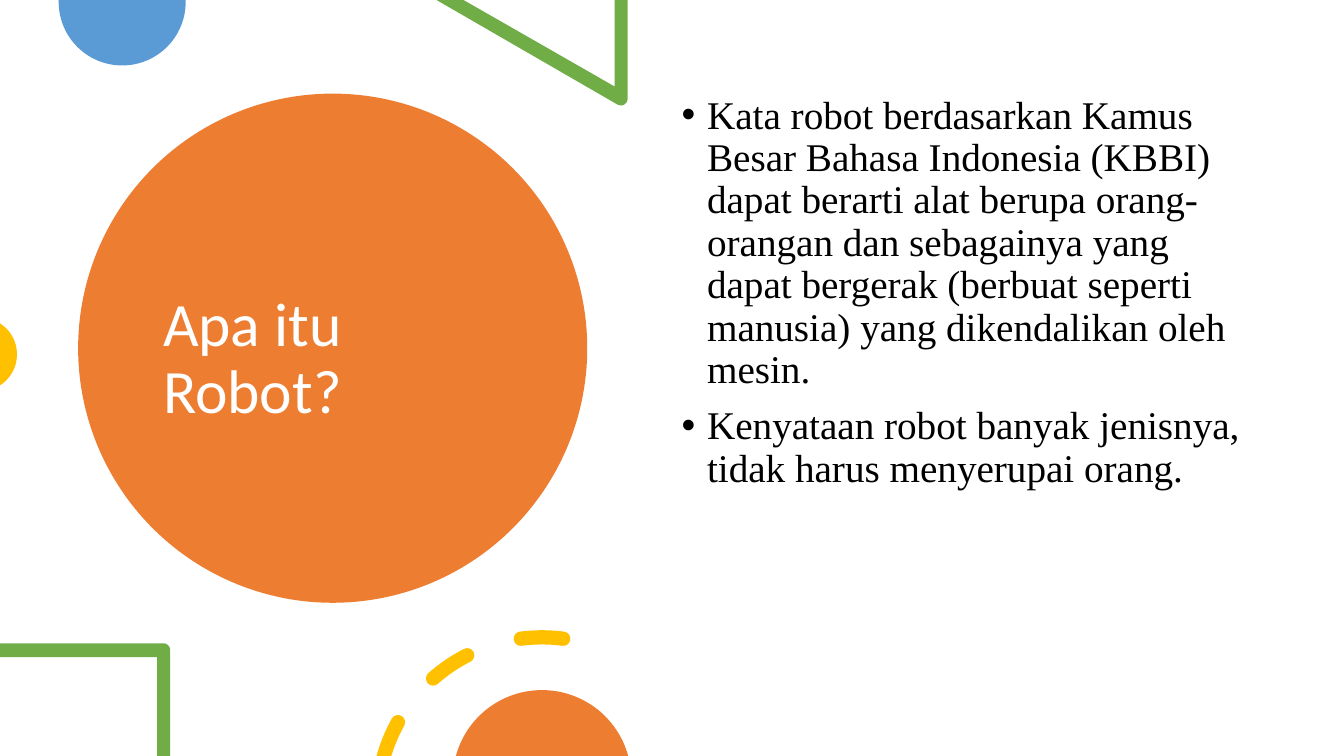
from math import ceil, cos, radians, sin, tan

from lxml import etree
from pptx import Presentation
from pptx.dml.color import RGBColor
from pptx.enum import shapes, text
from pptx.oxml import ns
from pptx.util import Cm, Pt

HUES = {"orange": "ED7D31", "blue": "5B9BD5", "green": "70AD47",
        "gold": "FFC000", "white": "FFFFFF", "black": "000000"}
FONTS = {"title": "Calibri", "body": "Times New Roman"}


def arc(x, y, r, start, end):
    """Bezier curves in cm along a circle, angles in degrees clockwise from the right."""
    count = ceil(abs(end - start) / 90)
    step = radians((end - start) / count)
    pull = 4 / 3 * tan(step / 4)
    curves = []
    for i in range(count):
        a = radians(start) + i * step
        b = a + step
        curves.append([(x + r * (cos(a) - pull * sin(a)), y + r * (sin(a) + pull * cos(a))),
                       (x + r * (cos(b) + pull * sin(b)), y + r * (sin(b) - pull * cos(b))),
                       (x + r * cos(b), y + r * sin(b))])
    return curves


def draw(hue, *loops):
    """Fill one freeform; each loop is a start point, then [point] lines and 3-point curves, in cm."""
    pen = None
    for start, *parts in loops:
        spot = [Cm(v) for v in start]
        if pen:
            pen.move_to(*spot)
        else:
            pen = slide.shapes.build_freeform(*spot, scale=1.0)
        pen.add_line_segments([(Cm(x), Cm(y)) for part in parts for x, y in part], close=True)
    shape = pen.convert_to_shape()
    lines = iter(list(shape._element.iter(ns.qn("a:lnTo"))))
    for part in (part for loop in loops for part in loop[1:]):
        group = [next(lines) for _ in part]
        if len(group) == 3:
            curve = etree.Element(ns.qn("a:cubicBezTo"))
            group[0].addprevious(curve)
            for line in group:
                curve.append(line[0])
                line.getparent().remove(line)
    shape.shadow.inherit = False
    shape.fill.solid()
    shape.fill.fore_color.rgb = RGBColor.from_string(HUES[hue])
    shape.line.fill.background()


deck = Presentation()
deck.slide_width, deck.slide_height = Cm(33.87), Cm(19.05)
slide = deck.slides.add_slide(deck.slide_layouts[6])

# Large disc with the title
disc = slide.shapes.add_shape(shapes.MSO_SHAPE.OVAL, Cm(1.97), Cm(2.36), Cm(12.83), Cm(12.83))
disc.shadow.inherit = False
disc.fill.solid()
disc.fill.fore_color.rgb = RGBColor.from_string(HUES["orange"])
disc.line.fill.background()

title = slide.shapes.add_textbox(Cm(3.86), Cm(3.43), Cm(8.99), Cm(11.28)).text_frame
title.word_wrap = True
title.vertical_anchor = text.MSO_ANCHOR.MIDDLE
title.text = "Apa itu Robot?"
head = title.paragraphs[0]
head.line_spacing = 0.9
for run in head.runs:
    run.font.size = Pt(44)
    run.font.name = FONTS["title"]
    run.font.color.rgb = RGBColor.from_string(HUES["white"])

# Decorations cut off by the top and left edges
draw("blue", [(4.68, 0), [(1.48, 0)], [(1.48, 0.05)], *arc(3.08, 0.05, 1.6, 180, 0)])
draw("green", [(15.82, 0), [(15.49, 0)], [(15.49, 2.18)], [(11.68, 0)], [(11, 0)],
               [(15.57, 2.64)], *arc(15.65, 2.49, 0.17, 120, 0)])
draw("gold", [(0, 8.15), *arc(-0.5, 8.93, 0.93, -57.5, 57.5)])

# Bulleted definition
body = slide.shapes.add_textbox(Cm(16.93), Cm(2.28), Cm(14.6), Cm(13.59)).text_frame
body.word_wrap = True
points = [
    "Kata robot berdasarkan Kamus Besar Bahasa Indonesia (KBBI) dapat berarti "
    "alat berupa orang-orangan dan sebagainya yang dapat bergerak (berbuat "
    "seperti manusia) yang dikendalikan oleh mesin.",
    "Kenyataan robot banyak jenisnya, tidak harus menyerupai orang.",
]
body.text = "\n".join(points)
for i, para in enumerate(body.paragraphs):
    props = para._p.get_or_add_pPr()
    props.set("marL", str(Cm(0.64)))
    props.set("indent", str(-Cm(0.64)))
    tint = etree.SubElement(props, ns.qn("a:buClr"))
    etree.SubElement(tint, ns.qn("a:srgbClr"), val=HUES["black"])
    etree.SubElement(props, ns.qn("a:buFont"), typeface="Arial")
    etree.SubElement(props, ns.qn("a:buChar"), char="•")
    para.line_spacing = 0.9
    if i:
        para.space_before = Pt(10)
    for run in para.runs:
        run.font.size = Pt(28)
        run.font.name = FONTS["body"]
        run.font.color.rgb = RGBColor.from_string(HUES["black"])

# Decorations cut off by the bottom edge
draw("green", [(0, 16.21), [(0, 16.56)], [(3.96, 16.56)], [(3.96, 19.05)], [(4.29, 19.05)],
               [(4.29, 16.38)], *arc(4.12, 16.38, 0.17, 0, -90)])

# Dashed ring: round caps, the first dash ends flat on the slide edge
mid, low, size, half = 13.66, 20.21, 4.15, 0.18
dashes = []
for outer, inner, end in [(195.6, 197, 209), (228.6, 228.6, 243), (262.6, 262.6, 277.4)]:
    a, b = radians(outer), radians(end)
    dash = [(mid + (size + half) * cos(a), low + (size + half) * sin(a))]
    dash += arc(mid, low, size + half, outer, end)
    dash += arc(mid + size * cos(b), low + size * sin(b), half, end, end + 180)
    dash += arc(mid, low, size - half, end, inner)
    if outer == inner:
        dash += arc(mid + size * cos(a), low + size * sin(a), half, outer + 180, outer + 360)
    dashes.append(dash)
draw("gold", *dashes)
draw("orange", [(11.49, 19.05), *arc(13.66, 19.64, 2.25, 195.2, 344.8)])

deck.save("out.pptx")
